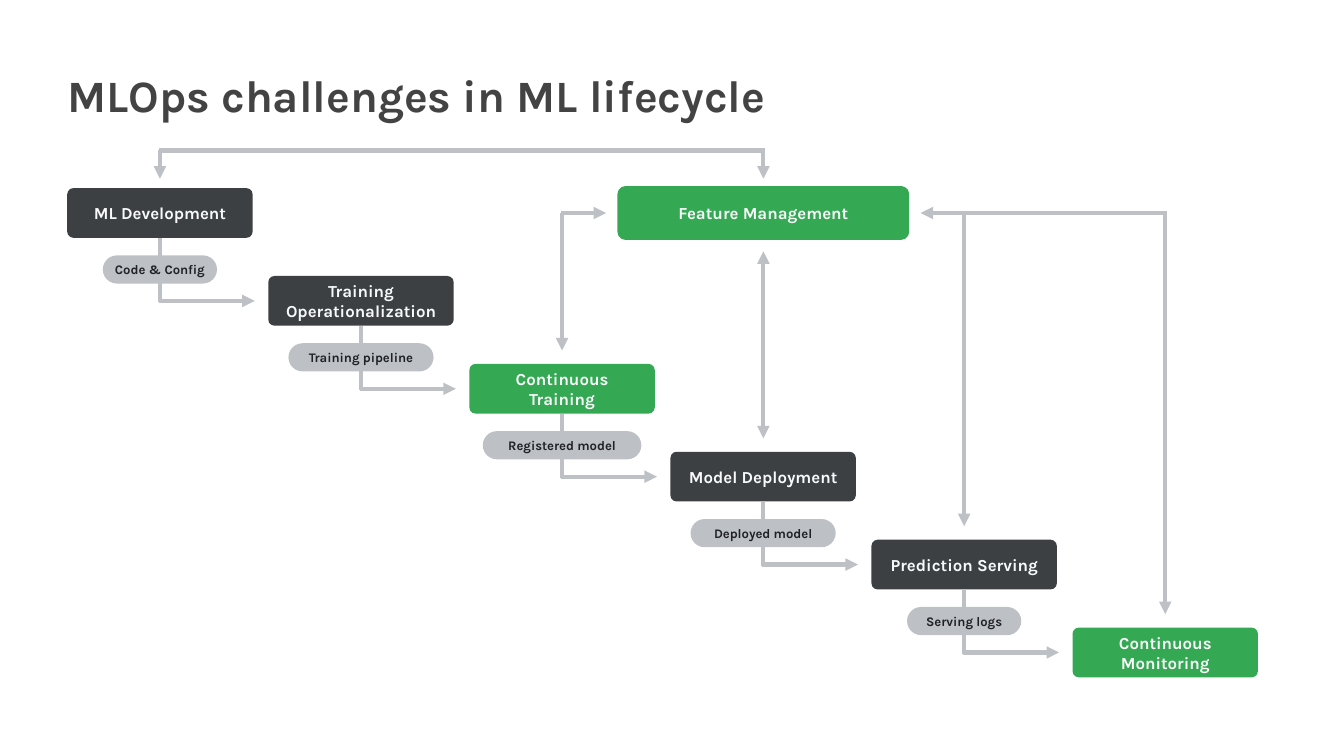
from dataclasses import dataclass

from lxml import etree
from pptx import Presentation
from pptx.dml.color import RGBColor
from pptx.enum.shapes import MSO_CONNECTOR, MSO_SHAPE
from pptx.enum.text import MSO_ANCHOR, MSO_AUTO_SIZE, PP_ALIGN
from pptx.oxml.ns import qn
from pptx.util import Inches, Pt

STRAIGHT = MSO_CONNECTOR.STRAIGHT
ROUNDED = MSO_SHAPE.ROUNDED_RECTANGLE
LEFT, CENTER = PP_ALIGN.LEFT, PP_ALIGN.CENTER
TOP, MIDDLE = MSO_ANCHOR.TOP, MSO_ANCHOR.MIDDLE
TITLE_ONLY = 5
BOTTOM_SIDE = 2
SLIDE_WIDTH = 10
SLIDE_HEIGHT = SLIDE_WIDTH * 9 / 16


@dataclass(frozen=True)
class Theme:
    font: str = "Karla"
    title_size: float = 24
    stage_size: float = 9
    label_size: float = 7
    line_width: float = 2.25
    title: str = "434343"
    dark: str = "3C4043"
    green: str = "34A853"
    grey: str = "BDC1C6"
    light_text: str = "F8F9FA"
    dark_text: str = "202124"


THEME = Theme()


@dataclass(frozen=True)
class Box:
    left: float
    top: float
    width: float
    height: float

    @property
    def right(self):
        return self.left + self.width

    @property
    def bottom(self):
        return self.top + self.height

    @property
    def center(self):
        return self.left + self.width / 2

    @property
    def middle(self):
        return self.top + self.height / 2

    def lengths(self):
        return [Inches(n) for n in (self.left, self.top, self.width, self.height)]


STAGE_WIDTH, STAGE_HEIGHT = 1.38, 0.37
LABEL_HEIGHT, LABEL_DROP = 0.21, 0.13
ARROW_GAP = 0.1
CORNER = 0.01  # overlap that closes the joint of two lines

# stage, colour, what it hands to the next stage, width of that label
STAGES = [
    ("ML Development", THEME.dark, "Code & Config", 0.85),
    ("Training Operationalization", THEME.dark, "Training pipeline", 1.08),
    ("Continuous Training", THEME.green, "Registered model", 1.18),
    ("Model Deployment", THEME.dark, "Deployed model", 1.08),
    ("Prediction Serving", THEME.dark, "Serving logs", 0.85),
    ("Continuous Monitoring", THEME.green, None, 0),
]


def write_text(shape, text, *, size, color, align=CENTER, anchor=MIDDLE, inset=0.1):
    frame = shape.text_frame
    frame.text = text
    frame.word_wrap = True
    frame.auto_size = MSO_AUTO_SIZE.NONE
    frame.vertical_anchor = anchor
    frame.margin_left = frame.margin_right = Inches(inset)
    frame.margin_top = frame.margin_bottom = Inches(inset)
    paragraph = frame.paragraphs[0]
    paragraph.alignment = align
    font = paragraph.runs[0].font
    font.name, font.size, font.bold = THEME.font, Pt(size), True
    font.color.rgb = RGBColor.from_string(color)


def add_rounded(slide, box, text, fill, *, corner=0.126, outline=None, **text_format):
    shape = slide.shapes.add_shape(ROUNDED, *box.lengths())
    shape.shadow.inherit = False
    shape.adjustments[0] = corner
    shape.fill.solid()
    shape.fill.fore_color.rgb = RGBColor.from_string(fill)
    if outline:
        shape.line.color.rgb = RGBColor.from_string(outline)
        shape.line.width = Pt(THEME.line_width)
    else:
        shape.line.fill.background()
    write_text(shape, text, **text_format)
    return shape


def add_stage(slide, box, text, fill, outline=None):
    return add_rounded(slide, box, text, fill, outline=outline,
                       size=THEME.stage_size, color=THEME.light_text)


def add_line(slide, start, end, *, head=False, tail=False):
    """Draw a grey line; head puts an arrowhead at start, tail at end."""
    line = slide.shapes.add_connector(STRAIGHT, *[Inches(n) for n in (*start, *end)])
    line.line.color.rgb = RGBColor.from_string(THEME.grey)
    line.line.width = Pt(THEME.line_width)
    stroke = line.line._get_or_add_ln()
    for wanted, tag in ((head, "a:headEnd"), (tail, "a:tailEnd")):
        if wanted:
            etree.SubElement(stroke, qn(tag), type="triangle")
    etree.SubElement(line._element.spPr, qn("a:effectLst"))
    return line


def add_title(slide, box, text):
    title = slide.shapes.title
    title.left, title.top, title.width, title.height = box.lengths()
    write_text(title, text, size=THEME.title_size, color=THEME.title,
               align=LEFT, anchor=TOP, inset=0)


def add_handover(slide, stage, stage_box, next_box, text, label_width):
    """Lead from the bottom of one stage to the left of the next."""
    turn = next_box.middle
    add_line(slide, (stage_box.center - CORNER, turn),
             (next_box.left - ARROW_GAP, turn), tail=True)
    stem = add_line(slide, (stage_box.center, stage_box.bottom),
                    (stage_box.center, turn + CORNER))
    stem.begin_connect(stage, BOTTOM_SIDE)
    label_box = Box(stage_box.center - label_width / 2, stage_box.bottom + LABEL_DROP,
                    label_width, LABEL_HEIGHT)
    add_rounded(slide, label_box, text, THEME.grey, corner=0.5, inset=0.04,
                size=THEME.label_size, color=THEME.dark_text)


def add_staircase(slide, box):
    """Place the stages diagonally across the box and return their boxes."""
    steps = len(STAGES) - 1
    step_x = (box.width - STAGE_WIDTH) / steps
    step_y = (box.height - STAGE_HEIGHT) / steps
    boxes = [Box(box.left + i * step_x, box.top + i * step_y, STAGE_WIDTH, STAGE_HEIGHT)
             for i in range(len(STAGES))]
    stages = [add_stage(slide, stage_box, name, fill)
              for stage_box, (name, fill, _, _) in zip(boxes, STAGES)]
    for i in range(steps):
        add_handover(slide, stages[i], boxes[i], boxes[i + 1], *STAGES[i][2:])
    return boxes


def add_feature_management(slide, box, stage_boxes):
    """Place the feature box and its links to the stages."""
    add_stage(slide, box, "Feature Management", THEME.green, outline=THEME.green)
    development, _, training, deployment, serving, monitoring = stage_boxes

    add_line(slide, (box.center, box.bottom + ARROW_GAP),
             (box.center, deployment.top - ARROW_GAP), head=True, tail=True)
    for stage in (training, serving, monitoring):
        add_line(slide, (stage.center, box.middle),
                 (stage.center, stage.top - ARROW_GAP), tail=True)
    add_line(slide, (box.left - ARROW_GAP, box.middle),
             (training.center - CORNER, box.middle), head=True)
    add_line(slide, (box.right + ARROW_GAP, box.middle),
             (monitoring.center + CORNER, box.middle), head=True)

    bridge = box.top - 0.28
    add_line(slide, (box.center + CORNER, bridge), (development.center - CORNER, bridge))
    for end in (box, development):
        add_line(slide, (end.center, box.top - 0.07), (end.center, bridge), head=True)


def main():
    deck = Presentation()
    deck.slide_width, deck.slide_height = Inches(SLIDE_WIDTH), Inches(SLIDE_HEIGHT)
    slide = deck.slides.add_slide(deck.slide_layouts[TITLE_ONLY])
    add_title(slide, Box(0.5, 0.5, 6.46, 0.33), "MLOps challenges in ML lifecycle")
    stage_boxes = add_staircase(slide, Box(0.5, 1.4, 8.86, 3.64))
    add_feature_management(slide, Box(4.61, 1.4, 2.14, STAGE_HEIGHT), stage_boxes)
    deck.save("out.pptx")


if __name__ == "__main__":
    main()
